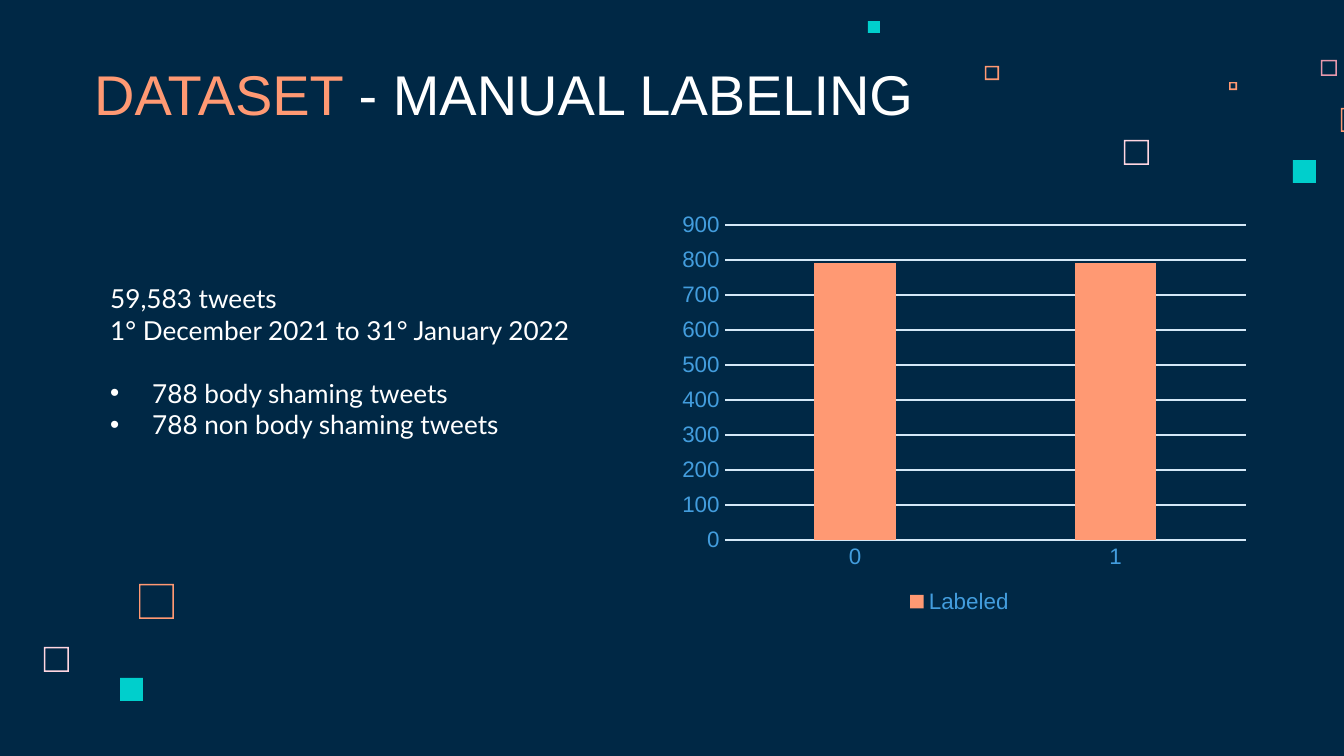
from pptx import Presentation
from pptx.chart.data import CategoryChartData
from pptx.dml.color import RGBColor
from pptx.enum.chart import XL_CHART_TYPE, XL_LEGEND_POSITION, XL_TICK_MARK
from pptx.enum.shapes import MSO_SHAPE
from pptx.enum.text import MSO_ANCHOR
from pptx.oxml import parse_xml
from pptx.oxml.ns import nsdecls, qn
from pptx.util import Pt

PX = 914400 / 134.4

COLUMNS = XL_CHART_TYPE.COLUMN_CLUSTERED
LEGEND_BOTTOM = XL_LEGEND_POSITION.BOTTOM
NO_TICK = XL_TICK_MARK.NONE
RECTANGLE = MSO_SHAPE.RECTANGLE
FRAME = MSO_SHAPE.FRAME
TOP, BOTTOM = MSO_ANCHOR.TOP, MSO_ANCHOR.BOTTOM

NAVY = RGBColor(0x00, 0x28, 0x45)
CORAL = RGBColor(0xFF, 0x99, 0x73)
TEAL = RGBColor(0x00, 0xCF, 0xCC)
PINK = RGBColor(0xFF, 0xD6, 0xE1)
ROSE = RGBColor(0xE8, 0x98, 0xAC)
WHITE = RGBColor(0xFF, 0xFF, 0xFF)
BLUE = RGBColor(0x43, 0x9D, 0xDD)
PALE_BLUE = RGBColor(0xD4, 0xE8, 0xF7)

TITLE_FONT = {"name": "Arial", "size": Pt(30)}
BODY_FONT = {"name": "Lato", "size": Pt(14)}
CHART_FONT = {"name": "Arial", "size": Pt(12)}

FRAME_WIDTH = 1.5
# left, top, side, colour
FRAMES = [
    (1124, 140, 25, PINK),
    (1321, 60, 16, ROSE),
    (1229, 82, 8, CORAL),
    (1341, 108, 24, CORAL),
    (985, 66, 14, CORAL),
    (44, 647, 25, PINK),
    (139, 584, 35, CORAL),
]
SQUARES = [
    (1293, 160, 23, TEAL),
    (868, 21, 12, TEAL),
    (120, 678, 23, TEAL),
]

PERIOD = ["59,583 tweets", "1° December 2021 to 31° January 2022"]
CLASSES = ["788 body shaming tweets", "788 non body shaming tweets"]

CHART_WIDTH, CHART_HEIGHT = 575, 448


def px(n):
    return round(n * PX)


def set_font(font, color, style):
    for name, value in style.items():
        setattr(font, name, value)
    font.color.rgb = color


def add_square(s, kind, left, top, side, color):
    sp = s.shapes.add_shape(kind, px(left), px(top), px(side), px(side))
    sp.shadow.inherit = False
    sp.fill.solid()
    sp.fill.fore_color.rgb = color
    sp.line.fill.background()
    if kind == FRAME:
        sp.adjustments[0] = FRAME_WIDTH / side


def add_text_frame(s, left, top, width, height, anchor):
    tf = s.shapes.add_textbox(px(left), px(top), px(width), px(height)).text_frame
    tf.word_wrap = True
    tf.vertical_anchor = anchor
    return tf


def add_run(p, text, color, style):
    r = p.add_run()
    r.text = text
    set_font(r.font, color, style)


def add_bullet(p):
    """Give the paragraph a hanging round bullet."""
    p_pr = p._p.get_or_add_pPr()
    p_pr.set("marL", str(px(42)))
    p_pr.set("indent", str(px(-42)))
    p_pr.append(parse_xml(f'<a:buFont {nsdecls("a")} typeface="Arial"/>'))
    p_pr.append(parse_xml(f'<a:buChar {nsdecls("a")} char="•"/>'))


def add_title(s):
    tf = add_text_frame(s, 81, 55, 937, 85, BOTTOM)
    tf.margin_top = tf.margin_bottom = px(13)
    p = tf.paragraphs[0]
    add_run(p, "DATASET ", CORAL, TITLE_FONT)
    add_run(p, "- MANUAL LABELING", WHITE, TITLE_FONT)


def add_summary(s):
    tf = add_text_frame(s, 97, 276, 499, 203, TOP)
    for i, text in enumerate(PERIOD + CLASSES):
        p = tf.paragraphs[0] if i == 0 else tf.add_paragraph()
        add_run(p, text, WHITE, BODY_FONT)
        if i == len(PERIOD):
            p.space_before = Pt(17)
        if text in CLASSES:
            add_bullet(p)


def set_line(line):
    line.color.rgb = PALE_BLUE
    line.width = Pt(0.75)


def place_plot(chart, left, top, width, height):
    """Fix the inner plot area, in px from the corner of the chart."""
    area = chart._chartSpace.chart.plotArea
    for old in area.findall(qn("c:layout")):
        area.remove(old)
    box = {"x": left / CHART_WIDTH, "y": top / CHART_HEIGHT,
           "w": width / CHART_WIDTH, "h": height / CHART_HEIGHT}
    sizes = "".join(f'<c:{k} val="{v}"/>' for k, v in box.items())
    area.insert(0, parse_xml(
        f'<c:layout {nsdecls("c")}><c:manualLayout><c:layoutTarget val="inner"/>'
        f'<c:xMode val="edge"/><c:yMode val="edge"/>{sizes}'
        '</c:manualLayout></c:layout>'))


def add_label_chart(s):
    data = CategoryChartData()
    data.categories = ["0", "1"]
    data.add_series("Labeled", [790, 790])
    chart = s.shapes.add_chart(
        COLUMNS, px(672), px(171), px(CHART_WIDTH), px(CHART_HEIGHT), data).chart
    set_font(chart.font, BLUE, CHART_FONT)
    chart.has_title = False
    chart.has_legend = True
    chart.legend.position = LEGEND_BOTTOM
    chart.legend.include_in_layout = False
    set_font(chart.legend.font, BLUE, CHART_FONT)

    plot = chart.plots[0]
    plot.gap_width = 219
    plot.overlap = -27
    plot.vary_by_categories = False
    fill = plot.series[0].format.fill
    fill.solid()
    fill.fore_color.rgb = CORAL

    for axis in (chart.category_axis, chart.value_axis):
        axis.major_tick_mark = axis.minor_tick_mark = NO_TICK
        set_font(axis.tick_labels.font, BLUE, CHART_FONT)
    set_line(chart.category_axis.format.line)
    values = chart.value_axis
    values.minimum_scale, values.maximum_scale, values.major_unit = 0, 900, 100
    values.format.line.fill.background()
    set_line(values.major_gridlines.format.line)
    place_plot(chart, 53, 54, 521, 315)


def main():
    prs = Presentation()
    prs.slide_width, prs.slide_height = px(1344), px(756)
    s = prs.slides.add_slide(prs.slide_layouts[6])
    s.background.fill.solid()
    s.background.fill.fore_color.rgb = NAVY
    for kind, items in ((FRAME, FRAMES), (RECTANGLE, SQUARES)):
        for item in items:
            add_square(s, kind, *item)
    add_title(s)
    add_label_chart(s)
    add_summary(s)
    prs.save("out.pptx")


if __name__ == "__main__":
    main()
